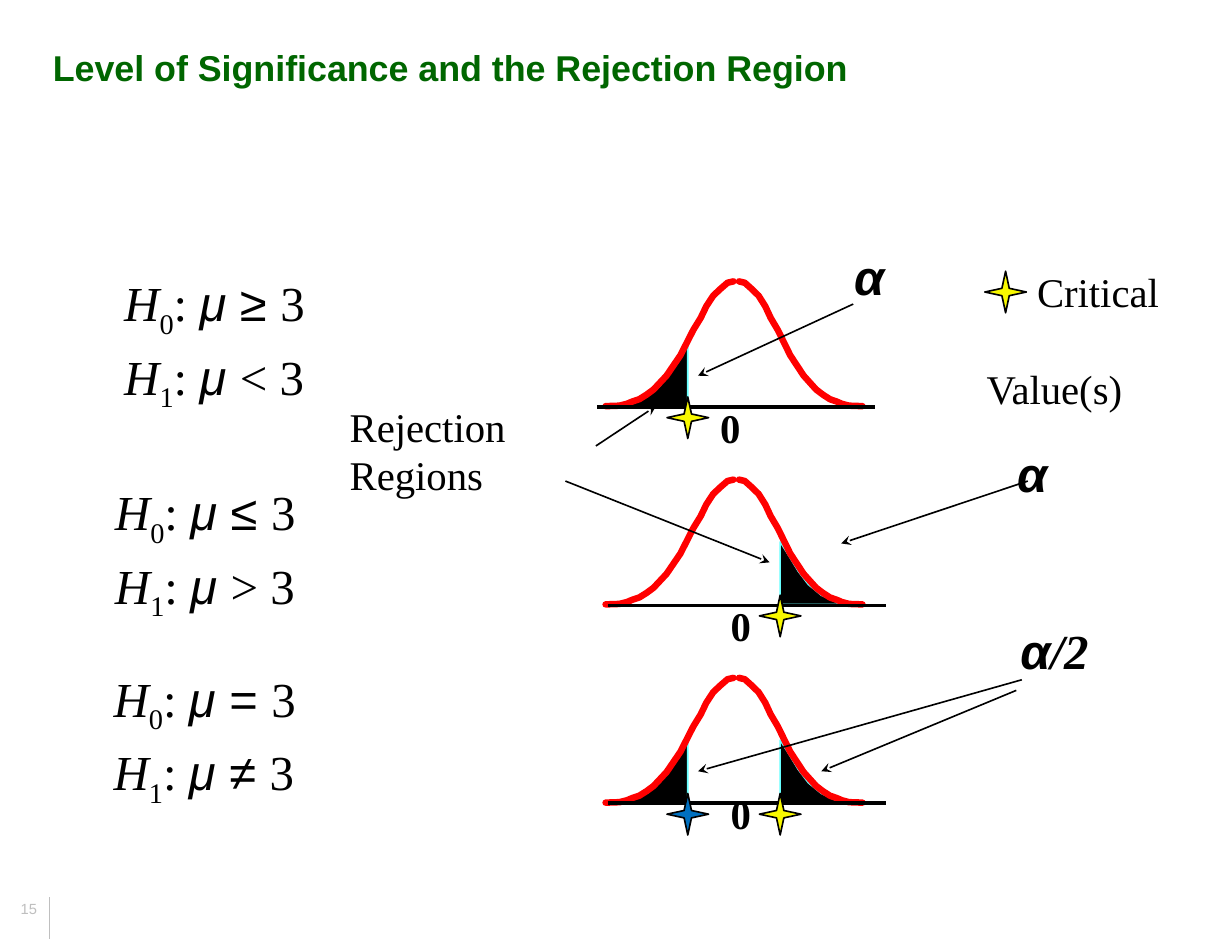
"""Build the slide on the level of significance and the rejection region."""
from lxml import etree
from pptx import Presentation
from pptx.dml.color import RGBColor
from pptx.enum.shapes import MSO_CONNECTOR
from pptx.enum.text import MSO_ANCHOR, PP_ALIGN
from pptx.oxml.ns import qn
from pptx.util import Cm, Pt

STRAIGHT = MSO_CONNECTOR.STRAIGHT
MIDDLE, BOTTOM = MSO_ANCHOR.MIDDLE, MSO_ANCHOR.BOTTOM
LEFT = PP_ALIGN.LEFT
BLACK = RGBColor(0x00, 0x00, 0x00)
GREEN = RGBColor(0x00, 0x66, 0x00)
GREY = RGBColor(0xBF, 0xBF, 0xBF)
RED = RGBColor(0xFF, 0x00, 0x00)
CYAN = RGBColor(0x66, 0xFF, 0xFF)
YELLOW = RGBColor(0xF8, 0xF8, 0x00)
BLUE = RGBColor(0x00, 0x70, 0xC0)
SERIF, SANS = "Times New Roman", "Arial"

CENTRE = 15.94
BASELINES = [8.79 + 4.29 * row for row in range(3)]
LEFT_CRITICAL, RIGHT_CRITICAL = 14.89, 16.89
HALF_CURVE = [
    (-2.83, 0), (-2.53, 0.01), (-2.37, 0.05), (-2.25, 0.1), (-2.1, 0.15),
    (-1.94, 0.25), (-1.79, 0.36), (-1.51, 0.66), (-1.21, 1.1), (-0.93, 1.65),
    (-0.77, 1.91), (-0.65, 2.16), (-0.5, 2.39), (-0.34, 2.54), (-0.19, 2.67),
    (-0.06, 2.7),
]
TAIL = [(-1.32, 0), (-0.89, 0.2), (-0.61, 0.43), (-0.39, 0.72),
        (-0.16, 1.1), (0, 1.35), (0, 0)]
STAR = [(0.45, 0), (0.08, 0.08), (0, 0.45), (-0.08, 0.08),
        (-0.45, 0), (-0.08, -0.08), (0, -0.45), (0.08, -0.08)]

presentation = Presentation()
presentation.slide_width, presentation.slide_height = Cm(26.67), Cm(20.32)
slide = presentation.slides.add_slide(presentation.slide_layouts[5])
shapes = slide.shapes


def add_outline(points, line_colour, line_width, fill_colour=None):
    points = [(Cm(x), Cm(y)) for x, y in points]
    builder = shapes.build_freeform(*points[0])
    builder.add_line_segments(points[1:], close=fill_colour is not None)
    shape = builder.convert_to_shape()
    shape.shadow.inherit = False
    shape.line.color.rgb = line_colour
    shape.line.width = Pt(line_width)
    if fill_colour is None:
        shape.fill.background()
        shape.line._get_or_add_ln().set("cap", "rnd")
    else:
        shape.fill.solid()
        shape.fill.fore_color.rgb = fill_colour


def add_text(left, top, width, height, size, text="", font_name=SERIF, colour=BLACK):
    frame = shapes.add_textbox(Cm(left), Cm(top), Cm(width), Cm(height)).text_frame
    frame.word_wrap = True
    frame.text = text
    for paragraph in frame.paragraphs:
        paragraph.font.size = Pt(size)
        paragraph.font.name = font_name
        paragraph.font.color.rgb = colour
    return frame


title = shapes.title
title.left, title.top, title.width, title.height = Cm(0.89), Cm(0), Cm(24.89), Cm(2.92)
title.text_frame.text = "Level of Significance and the Rejection Region"
title.text_frame.vertical_anchor = MIDDLE
heading = title.text_frame.paragraphs[0]
heading.alignment = LEFT
heading.font.name, heading.font.size, heading.font.bold = SANS, Pt(22), True
heading.font.color.rgb = GREEN

page_number = add_text(0.2, 18.57, 0.94, 1.42, 9, "15", SANS, GREY)
page_number.vertical_anchor = BOTTOM

for row, direction, critical in [
    (0, 1, LEFT_CRITICAL), (1, -1, RIGHT_CRITICAL),
    (2, -1, RIGHT_CRITICAL), (2, 1, LEFT_CRITICAL),
]:
    add_outline([(critical + direction * x, BASELINES[row] - y) for x, y in TAIL],
                CYAN, 1, BLACK)

for baseline in BASELINES:
    for scale in (1, -0.965):
        add_outline([(CENTRE + scale * x, baseline - y) for x, y in HALF_CURVE], RED, 4)

for left, top, width, relations in [
    (2.44, 5.64, 6.02, ("≥", "<")),
    (2.24, 10.16, 6.25, ("≤", ">")),
    (2.21, 14.2, 5.59, ("=", "≠")),
]:
    paragraph = add_text(left, top, width, 3.07, 30).paragraphs[0]
    paragraph.line_spacing = 1.1
    for index, relation in enumerate(relations):
        if index:
            paragraph.add_line_break()
        relation_font = SERIF if relation in "<>" else SANS
        for text, font_name, italic in [
            ("H", SERIF, True), (str(index), SERIF, False), (": ", SERIF, False),
            ("μ ", SANS, True), (relation + " ", relation_font, False), ("3", SERIF, False),
        ]:
            run = paragraph.add_run()
            run.text = text
            run.font.name, run.font.italic = font_name, italic
            if text == str(index):
                run._r.get_or_add_rPr().set("baseline", "-25000")

for left, top in [(15.34, 8.59), (15.57, 12.88), (15.57, 16.94)]:
    zero = add_text(left, top, 1.8, 1.37, 25, "0")
    zero.paragraphs[0].font.bold = True

for left, top, suffix in [(18.24, 5.21, ""), (21.77, 9.47, ""), (21.84, 13.31, "/2")]:
    paragraph = add_text(left, top, 2.69, 1.55, 30, "α", SANS).paragraphs[0]
    paragraph.font.bold = paragraph.font.italic = True
    if suffix:
        run = paragraph.add_run()
        run.text = suffix
        run.font.name = SERIF

legend = add_text(21.11, 5.64, 4.7, 2.46, 25, "Critical\nValue(s)")
legend.paragraphs[0]._p.get_or_add_pPr().set("indent", str(Cm(1.09)))
legend.paragraphs[1].space_before = Pt(30)
add_text(7.32, 8.56, 4.6, 2.46, 25, "Rejection Regions")

for start_x, start_y, end_x, end_y, colour, width, has_arrow in [
    (1.07, 20.37, 1.07, 19.41, GREY, 0.5, False),
    (12.93, 8.81, 18.95, 8.81, BLACK, 2, False),
    (13.16, 13.1, 19.18, 13.1, BLACK, 2, False),
    (13.16, 17.38, 19.18, 17.38, BLACK, 2, False),
    (18.47, 6.58, 15.11, 8.13, BLACK, 1, True),
    (22.25, 10.41, 18.21, 11.76, BLACK, 1, True),
    (22, 14.94, 17.78, 16.69, BLACK, 1, True),
    (22.12, 14.71, 15.11, 16.69, BLACK, 1, True),
    (12.9, 9.65, 14.2, 8.79, BLACK, 1, True),
    (12.24, 10.41, 16.66, 12.17, BLACK, 1, True),
]:
    connector = shapes.add_connector(
        STRAIGHT, Cm(start_x), Cm(start_y), Cm(end_x), Cm(end_y))
    connector.line.color.rgb = colour
    connector.line.width = Pt(width)
    etree.SubElement(connector._element.spPr, qn("a:effectLst"))
    if has_arrow:
        etree.SubElement(connector.line._get_or_add_ln(), qn("a:tailEnd"), type="stealth")

for star_x, star_y, colour in [
    (LEFT_CRITICAL, BASELINES[2] + 0.25, BLUE),
    (RIGHT_CRITICAL, BASELINES[1] + 0.25, YELLOW),
    (LEFT_CRITICAL, BASELINES[0] + 0.25, YELLOW),
    (RIGHT_CRITICAL, BASELINES[2] + 0.25, YELLOW),
    (21.77, 6.32, YELLOW),
]:
    add_outline([(star_x + x, star_y + y) for x, y in STAR], BLACK, 1, colour)

presentation.save("out.pptx")
